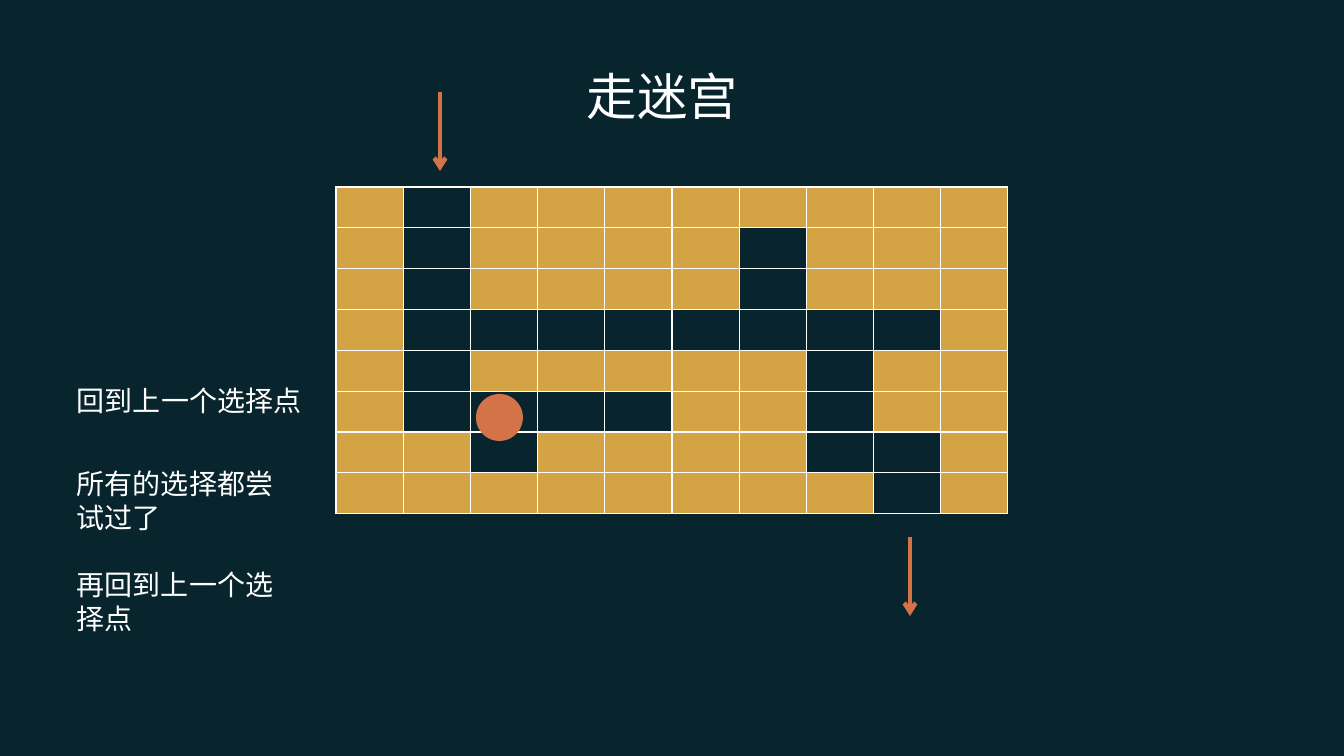
from dataclasses import dataclass

from lxml import etree
from pptx import Presentation
from pptx.dml.color import RGBColor
from pptx.enum.shapes import MSO_CONNECTOR as CONNECTOR, MSO_SHAPE as SHAPE
from pptx.oxml import parse_xml
from pptx.oxml.ns import nsdecls, qn
from pptx.util import Emu, Pt


@dataclass(frozen=True)
class Theme:
    background: RGBColor = RGBColor(0x08, 0x25, 0x2D)
    wall: RGBColor = RGBColor(0xD4, 0xA4, 0x44)
    accent: RGBColor = RGBColor(0xD4, 0x73, 0x48)
    white: RGBColor = RGBColor(0xFF, 0xFF, 0xFF)
    title_size: int = 36
    note_size: int = 20


theme = Theme()


def px(length):
    return Emu(round(length * 914400 / 100.8))


def add_text(box, lines, font_name, size, gap=0):
    text_box = slide.shapes.add_textbox(*map(px, box))
    frame = text_box.text_frame
    frame.word_wrap = True
    frame.text = "\n".join(lines)
    for index, paragraph in enumerate(frame.paragraphs):
        if index:
            paragraph.space_before = Pt(gap)
        font = paragraph.runs[0].font
        font.name = font_name
        font.size = Pt(size)
        font.color.rgb = theme.white


presentation = Presentation()
presentation.slide_width = px(1344)
presentation.slide_height = px(756)
slide = presentation.slides.add_slide(presentation.slide_layouts[6])
slide.background.fill.solid()
slide.background.fill.fore_color.rgb = theme.background

# Maze: "#" is a wall, "." is an open path
maze = [
    "#.########",
    "#.####.###",
    "#.####.###",
    "#........#",
    "#.#####.##",
    "#....##.##",
    "##.####..#",
    "########.#",
]
table = slide.shapes.add_table(
    len(maze), len(maze[0]), px(336), px(187), px(672), px(327)).table
table.first_row = False
table.horz_banding = False
for row_index, row in enumerate(maze):
    for column_index, mark in enumerate(row):
        cell = table.cell(row_index, column_index)
        cell.margin_top = cell.margin_bottom = 0
        cell_properties = cell._tc.get_or_add_tcPr()
        for side in ("lnL", "lnR", "lnT", "lnB"):
            cell_properties.append(parse_xml(
                f'<a:{side} {nsdecls("a")} w="{Pt(1)}"><a:solidFill>'
                f'<a:srgbClr val="{theme.white}"/></a:solidFill></a:{side}>'))
        if mark == "#":
            cell.fill.solid()
            cell.fill.fore_color.rgb = theme.wall
        else:
            cell.fill.background()

# Entrance and exit arrows
for x, top in ((440, 92), (910, 537)):
    arrow = slide.shapes.add_connector(
        CONNECTOR.STRAIGHT, px(x), px(top), px(x), px(top + 79))
    arrow.line.color.rgb = theme.accent
    arrow.line.width = Pt(3)
    etree.SubElement(arrow.line._get_or_add_ln(), qn("a:tailEnd"), type="arrow")
    etree.SubElement(arrow._element.spPr, qn("a:effectLst"))

# Title
add_text((577, 60, 238, 72), ["走迷宫"], "Arial", theme.title_size)

# Walker
walker = slide.shapes.add_shape(SHAPE.OVAL, px(476), px(394), px(47), px(47))
walker.shadow.inherit = False
walker.fill.solid()
walker.fill.fore_color.rgb = theme.accent
walker.line.fill.background()

# Notes on backtracking
add_text((67, 379, 256, 44), ["回到上一个选择点"], "Arial", theme.note_size)
add_text((67, 462, 244, 179), ["所有的选择都尝试过了", "再回到上一个选择点"],
         "Calibri", theme.note_size, gap=24)

presentation.save("out.pptx")
